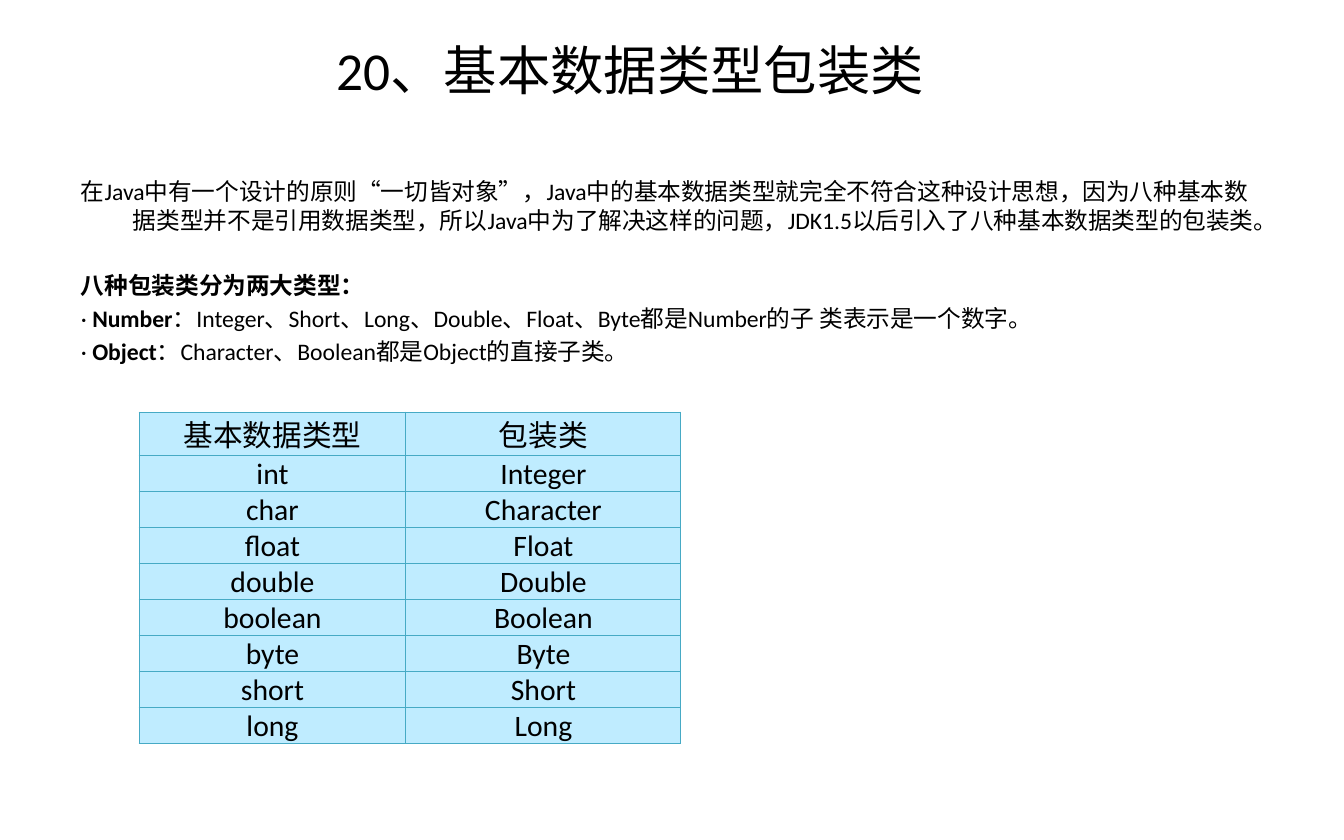
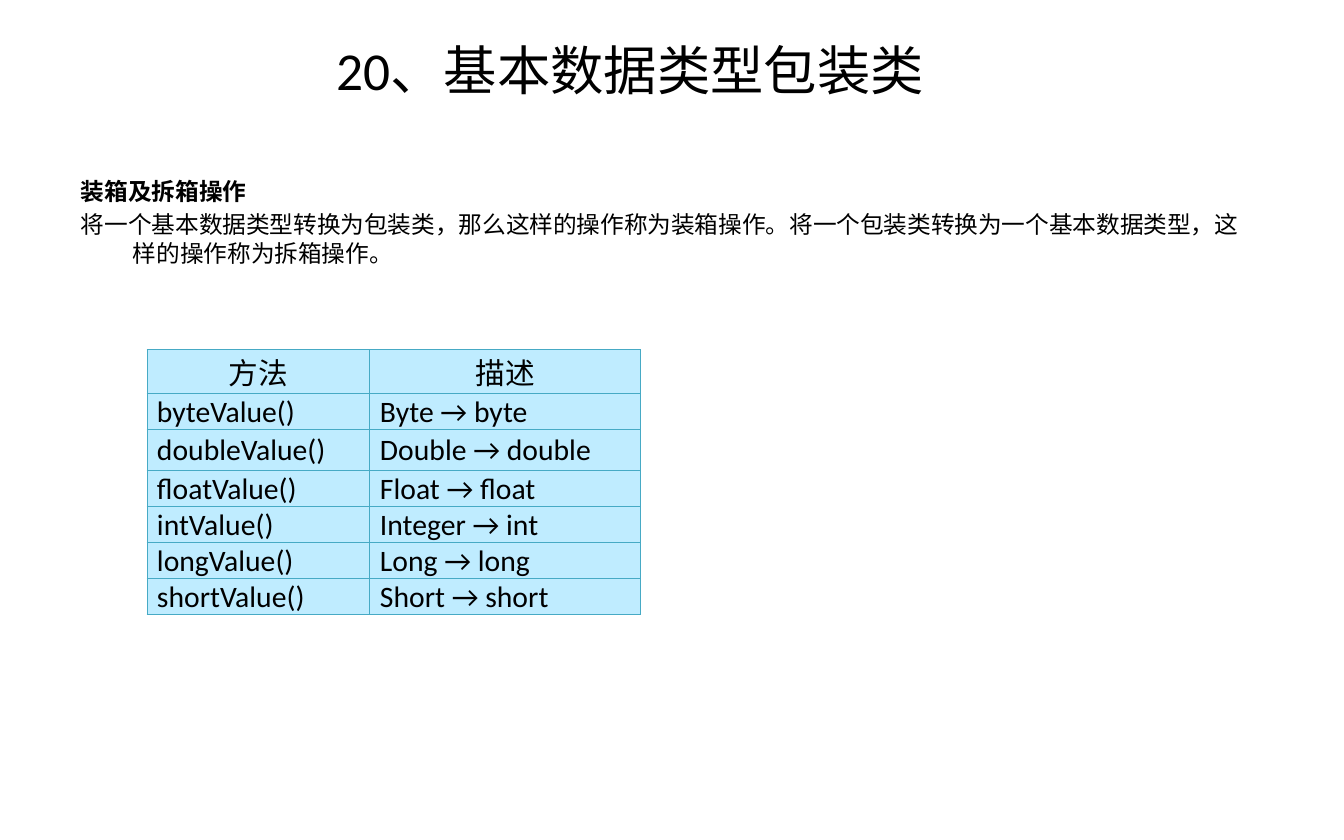
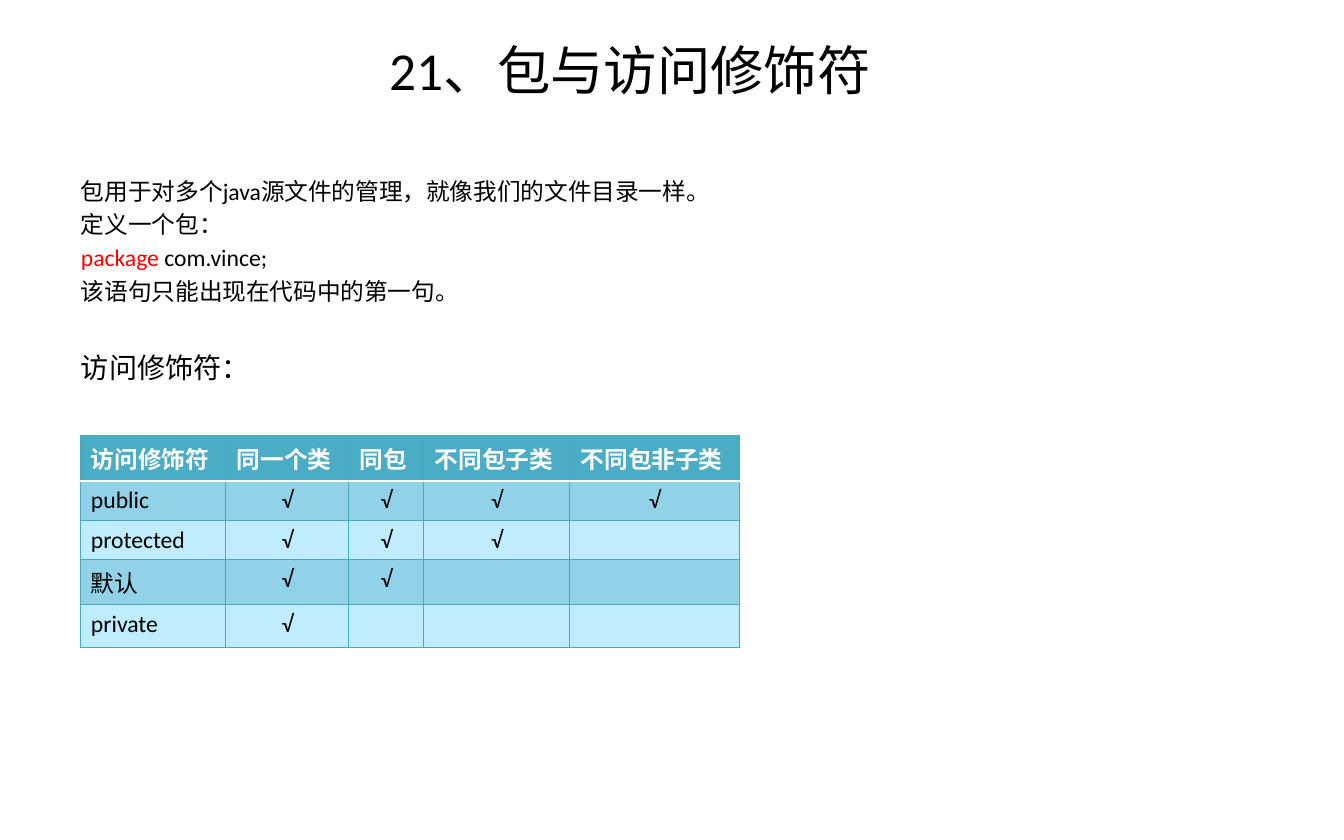
from dataclasses import dataclass

from lxml.etree import SubElement
from pptx import Presentation
from pptx.dml.color import RGBColor as RGB
from pptx.enum.text import MSO_ANCHOR as ANCHOR, PP_ALIGN as ALIGN
from pptx.oxml.ns import qn
from pptx.util import Pt

PX = 8572.5  # EMU in one px
BOLD = {"bold": True}


@dataclass(frozen=True)
class Theme:
    font: str = "Calibri"
    ink: str = "000000"
    white: str = "FFFFFF"
    keyword: str = "FF0000"
    border: str = "46AAC5"
    cell: str = "BFECFF"
    band: str = "91D2E8"
    header: str = "4BACC6"
    title_pt: int = 36
    table_pt: int = 20
    heading_pt: int = 19
    body_pt: int = 16
    para_gap_pt: float = 3.2
    border_pt: float = 0.75
    rule_pt: float = 2


T = Theme()


@dataclass(frozen=True)
class TableStyle:
    size: int = T.table_pt
    anchor: ANCHOR = ANCHOR.MIDDLE
    margins: tuple = (10, 0)
    head_align: ALIGN = ALIGN.CENTER
    first_align: ALIGN = ALIGN.CENTER
    rest_align: ALIGN = ALIGN.CENTER
    banded: bool = False


CENTERED = TableStyle()
LISTED = TableStyle(first_align=ALIGN.LEFT, rest_align=ALIGN.LEFT)
BANDED = TableStyle(size=T.body_pt, anchor=ANCHOR.TOP, margins=(11, 5),
                    head_align=ALIGN.LEFT, first_align=ALIGN.LEFT, banded=True)


def px(n):
    return round(n * PX)


def set_attrs(obj, **values):
    for name, value in values.items():
        setattr(obj, name, value)


def add_run(p, text, size=T.body_pt, color=T.ink, bold=False):
    r = p.add_run()
    r.text = text
    set_attrs(r.font, name=T.font, size=Pt(size), bold=bold)
    r.font.color.rgb = RGB.from_string(color)


def add_text_frame(s, box, anchor):
    tf = s.shapes.add_textbox(*map(px, box)).text_frame
    set_attrs(tf, word_wrap=True, vertical_anchor=anchor, margin_left=px(14),
              margin_right=px(14), margin_top=px(7), margin_bottom=px(7))
    return tf


def add_title(s, text):
    p = add_text_frame(s, (168, 34, 924, 70), ANCHOR.MIDDLE).paragraphs[0]
    p.alignment = ALIGN.CENTER
    add_run(p, text, T.title_pt)


def add_body(s, paragraphs):
    """Each paragraph is (space before in points, run, run, ...)."""
    tf = add_text_frame(s, (67, 170, 1210, 566), ANCHOR.TOP)
    for i, (gap, *runs) in enumerate(paragraphs):
        p = tf.add_paragraph() if i else tf.paragraphs[0]
        pPr = p._p.get_or_add_pPr()
        pPr.set("marL", str(px(52)))
        pPr.set("indent", str(-px(52)))
        if i:
            p.space_before = Pt(gap)
        for text, fmt in runs:
            add_run(p, text, **fmt)


def para(*runs, gap=T.para_gap_pt):
    """Plain strings become runs without special format."""
    return (gap, *((r, {}) if isinstance(r, str) else r for r in runs))


def set_border(cell, side, color, width):
    ln = SubElement(cell._tc.get_or_add_tcPr(), qn(f"a:ln{side}"), w=str(Pt(width)))
    SubElement(SubElement(ln, qn("a:solidFill")), qn("a:srgbClr"), val=color)


def format_cell(cell, text, row, col, style):
    is_head = row == 0
    strong = is_head and style.banded
    rules = {0: "B", 1: "T"} if style.banded else {}
    for side in "LRTB":
        if rules.get(row) == side:
            set_border(cell, side, T.white, T.rule_pt)
        else:
            set_border(cell, side, T.border, T.border_pt)
    fill = T.header if strong else T.band if style.banded and row % 2 else T.cell
    cell.fill.solid()
    cell.fill.fore_color.rgb = RGB.from_string(fill)

    mx, my = map(px, style.margins)
    set_attrs(cell, vertical_anchor=style.anchor, margin_left=mx,
              margin_right=mx, margin_top=my, margin_bottom=my)
    p = cell.text_frame.paragraphs[0]
    body_align = style.rest_align if col else style.first_align
    p.alignment = style.head_align if is_head else body_align
    if text:
        add_run(p, text, style.size, T.white if strong else T.ink, strong)
    else:
        SubElement(p._p, qn("a:endParaRPr"), sz=str(style.size * 100))


def add_grid(s, left, top, widths, heights, rows, style):
    box = map(px, (left, top, sum(widths), sum(heights)))
    table = s.shapes.add_table(len(rows), len(widths), *box).table
    set_attrs(table, first_row=False, horz_banding=False)
    for column, width in zip(table.columns, widths):
        column.width = px(width)
    for i, (height, texts) in enumerate(zip(heights, rows)):
        table.rows[i].height = px(height)
        for j, text in enumerate(texts):
            format_cell(table.cell(i, j), text, i, j, style)


def wrapper_classes(s):
    add_title(s, "20、基本数据类型包装类")
    add_body(s, [
        para("在Java中有一个设计的原则“一切皆对象”，Java中的基本数据类型就完全不符合这种设计思想，"
             "因为八种基本数据类型并不是引用数据类型，所以Java中为了解决这样的问题，"
             "JDK1.5以后引入了八种基本数据类型的包装类。"),
        para(("八种包装类分为两大类型：", BOLD), gap=25),
        para("· ", ("Number", BOLD),
             "：Integer、Short、Long、Double、Float、Byte都是Number的子 类表示是一个数字。"),
        para("· ", ("Object", BOLD), "：Character、Boolean都是Object的直接子类。"),
    ])
    rows = [("基本数据类型", "包装类"), ("int", "Integer"), ("char", "Character")]
    rows += [(name, name.capitalize())
             for name in ("float", "double", "boolean", "byte", "short", "long")]
    add_grid(s, 139, 412, (267, 275), [44] + [36] * 8, rows, CENTERED)


def boxing(s):
    add_title(s, "20、基本数据类型包装类")
    add_body(s, [
        para(("装箱及拆箱操作", BOLD)),
        para("将一个基本数据类型转换为包装类，那么这样的操作称为装箱操作。"
             "将一个包装类转换为一个基本数据类型，这样的操作称为拆箱操作。"),
    ])
    rows = [("方法", "描述")]
    for name in ("byte", "double", "float", "int", "long", "short"):
        wrapper = "Integer" if name == "int" else name.capitalize()
        rows.append((f"{name}Value()", f"{wrapper} → {name}"))
    add_grid(s, 147, 350, (223, 271), (44, 36, 41, 36, 36, 36, 36), rows, LISTED)


def access_modifiers(s):
    add_title(s, "21、包与访问修饰符")
    add_body(s, [
        para("包用于对多个java源文件的管理，就像我们的文件目录一样。"),
        para("定义一个包："),
        para(("package", {"color": T.keyword}), " com.vince;"),
        para("该语句只能出现在代码中的第一句。"),
        para(("访问修饰符：", {"size": T.heading_pt}), gap=31),
    ])
    rows = [("访问修饰符", "同一个类", "同包", "不同包子类", "不同包非子类")]
    for name, ticks in (("public", 4), ("protected", 3), ("默认", 2), ("private", 1)):
        rows.append([name] + ["√"] * ticks + [""] * (4 - ticks))
    add_grid(s, 80, 436, (146, 123, 75, 146, 170), (45, 40, 39, 45, 43), rows, BANDED)


def main():
    prs = Presentation()
    set_attrs(prs, slide_width=px(1344), slide_height=px(840))
    for build in (wrapper_classes, boxing, access_modifiers):
        build(prs.slides.add_slide(prs.slide_layouts[6]))
    prs.save("out.pptx")


if __name__ == "__main__":
    main()
